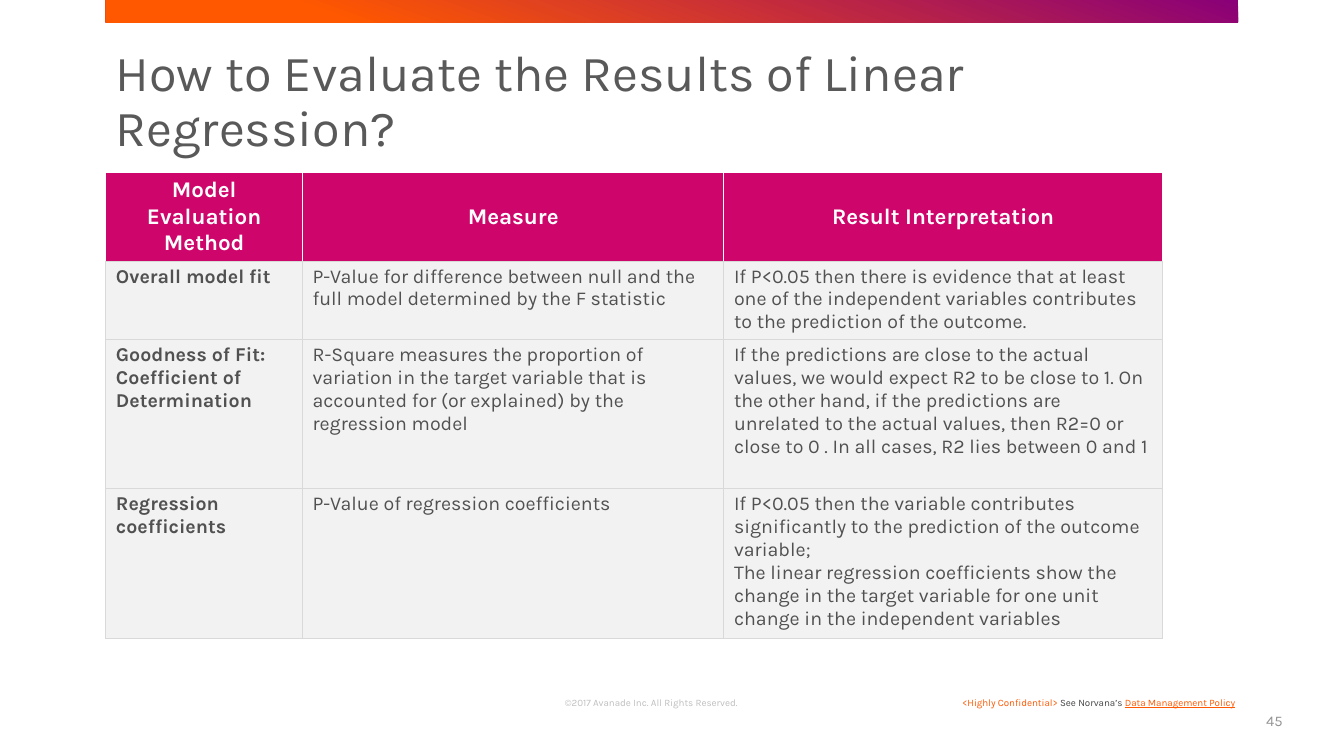
from lxml import etree
from pptx import Presentation
from pptx.dml.color import RGBColor
from pptx.enum.shapes import MSO_SHAPE
from pptx.enum.text import MSO_ANCHOR, PP_ALIGN
from pptx.oxml.ns import qn
from pptx.util import Inches, Pt

LEFT, CENTER, RIGHT = PP_ALIGN.LEFT, PP_ALIGN.CENTER, PP_ALIGN.RIGHT
TOP, MIDDLE, BOTTOM = MSO_ANCHOR.TOP, MSO_ANCHOR.MIDDLE, MSO_ANCHOR.BOTTOM
RECTANGLE = MSO_SHAPE.RECTANGLE

PURPLE = RGBColor(0x89, 0x00, 0x78)
ORANGE = RGBColor(0xFF, 0x58, 0x00)
MAGENTA = RGBColor(0xCE, 0x05, 0x6A)
WHITE = RGBColor(0xFF, 0xFF, 0xFF)
PALE = RGBColor(0xF2, 0xF2, 0xF2)
RULE = RGBColor(0xD9, 0xD9, 0xD9)
SILVER = RGBColor(0xBF, 0xBF, 0xBF)
GREY = RGBColor(0x93, 0x93, 0x93)
TITLE_GREY = RGBColor(0x59, 0x59, 0x59)
BODY_GREY = RGBColor(0x50, 0x51, 0x50)
DARK = RGBColor(0x46, 0x46, 0x46)
FONT = "Karla"

BAR = (1.05, 0, 11.23, 0.22)
TEXTS = [
    {"at": (1.05, 0.43, 11.23, 1.09), "size": 36, "spacing": 0.9,
     "runs": [("How to Evaluate the Results of Linear Regression?", TITLE_GREY, False)]},
    {"at": (5.1, 6.85, 2.72, 0.18), "size": 7, "spacing": 0.9, "align": CENTER,
     "anchor": BOTTOM, "inset": (0, 0),
     "runs": [("©2017 Avanade Inc. All Rights Reserved.", SILVER, False)]},
    {"at": (9.31, 6.86, 3.04, 0.22), "size": 7, "align": RIGHT,
     "runs": [("<Highly Confidential> ", ORANGE, False),
              ("See Norvana’s ", DARK, False),
              ("Data Management Policy", ORANGE, True)]},
    {"at": (12.28, 6.95, 0.54, 0.4), "size": 10.5, "align": RIGHT, "anchor": MIDDLE,
     "runs": [("45", GREY, False)]},
]

TABLE_AT = (1.05, 1.71)
COLS = [1.95, 4.18, 4.35]
ROWS = [0.88, 0.78, 1.48, 1.48]
CELLS = [
    ["Model Evaluation Method", "Measure", "Result Interpretation"],
    ["Overall model fit",
     "P-Value for difference between null and the full model determined by the F statistic",
     "If P<0.05 then there is evidence that at least one of the independent variables "
     "contributes to the prediction of the outcome."],
    ["Goodness of Fit: Coefficient of Determination",
     "R-Square measures the proportion of variation in the target variable that is "
     "accounted for (or explained) by the regression model",
     "If the predictions are close to the actual values, we would expect R2 to be close "
     "to 1. On the other hand, if the predictions are unrelated to the actual values, "
     "then R2=0 or close to 0 . In all cases, R2 lies between 0 and 1"],
    ["Regression coefficients",
     "P-Value of regression coefficients",
     "If P<0.05 then the variable contributes significantly to the prediction of the "
     "outcome variable;\n"
     "The linear regression coefficients show the change in the target variable for one "
     "unit change in the independent variables"],
]
HEADER = {"size": Pt(16), "bold": True, "name": FONT}
BODY = {"size": Pt(14), "name": FONT}


def set_font(font, color, formats):
    for name, value in formats.items():
        setattr(font, name, value)
    font.color.rgb = color


def set_margins(box, x, y):
    for side, value in {"left": x, "right": x, "top": y, "bottom": y}.items():
        setattr(box, f"margin_{side}", Inches(value))


def add_text(s, item):
    tf = s.shapes.add_textbox(*map(Inches, item["at"])).text_frame
    tf.word_wrap = True
    tf.vertical_anchor = item.get("anchor", TOP)
    set_margins(tf, *item.get("inset", (0.1, 0.05)))
    p = tf.paragraphs[0]
    p.alignment = item.get("align", LEFT)
    p.line_spacing = item.get("spacing", 1.0)
    for text, color, underline in item["runs"]:
        r = p.add_run()
        r.text = text
        set_font(r.font, color, {"size": Pt(item["size"]), "name": FONT,
                                 "underline": underline})


def set_borders(cell, colors):
    tcPr = cell._tc.get_or_add_tcPr()
    for i, (side, color) in enumerate(colors.items()):
        ln = etree.Element(qn(f"a:ln{side}"), w=str(Pt(0.75)))
        fill = etree.SubElement(ln, qn("a:solidFill"))
        etree.SubElement(fill, qn("a:srgbClr"), val=str(color))
        tcPr.insert(i, ln)


def add_results_table(s):
    size = (sum(COLS), sum(ROWS))
    table = s.shapes.add_table(len(ROWS), len(COLS),
                               *map(Inches, TABLE_AT + size)).table
    table.horz_banding = False
    for col, width in zip(table.columns, COLS):
        col.width = Inches(width)
    for i, (row, height) in enumerate(zip(table.rows, ROWS)):
        row.height = Inches(height)
        header = i == 0
        for j, cell in enumerate(row.cells):
            cell.text = CELLS[i][j]
            cell.vertical_anchor = MIDDLE if header else TOP
            set_margins(cell, 0.1, 0.04)
            cell.fill.solid()
            cell.fill.fore_color.rgb = MAGENTA if header else PALE
            edge = WHITE if header else RULE
            set_borders(cell, {"L": edge, "R": edge, "T": edge if i != 1 else RULE,
                               "B": RULE})
            for p in cell.text_frame.paragraphs:
                p.alignment = CENTER if header else LEFT
                for r in p.runs:
                    if header:
                        set_font(r.font, WHITE, HEADER)
                    else:
                        set_font(r.font, BODY_GREY, {**BODY, "bold": j == 0})


def add_bar(s):
    bar = s.shapes.add_shape(RECTANGLE, *map(Inches, BAR))
    bar.shadow.inherit = False
    bar.line.fill.background()
    bar.fill.gradient()
    bar.fill.gradient_angle = 250
    for stop, (position, color) in zip(bar.fill.gradient_stops,
                                       [(0, PURPLE), (0.8, ORANGE)]):
        stop.position = position
        stop.color.rgb = color


def main():
    prs = Presentation()
    prs.slide_width, prs.slide_height = Inches(13.33), Inches(7.5)
    s = prs.slides.add_slide(prs.slide_layouts[6])
    add_bar(s)
    for item in TEXTS:
        add_text(s, item)
    add_results_table(s)
    prs.save("out.pptx")


if __name__ == "__main__":
    main()
